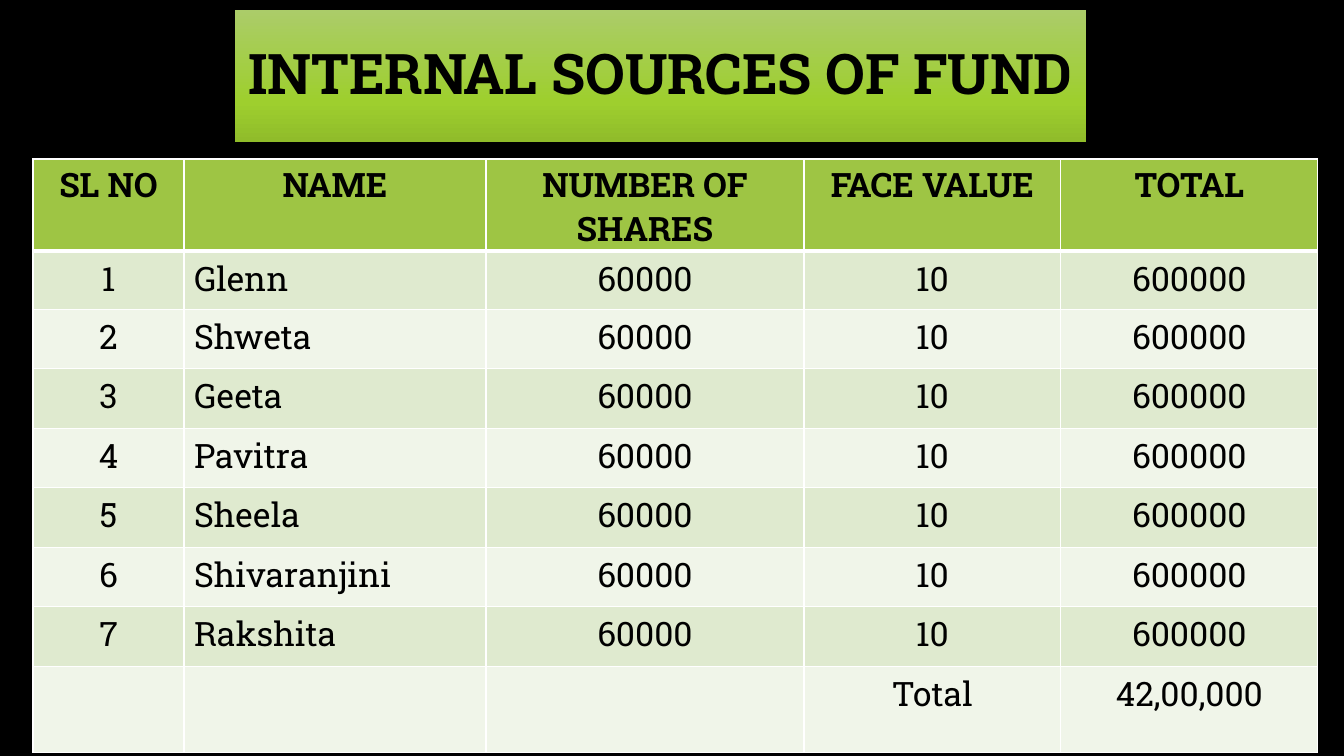
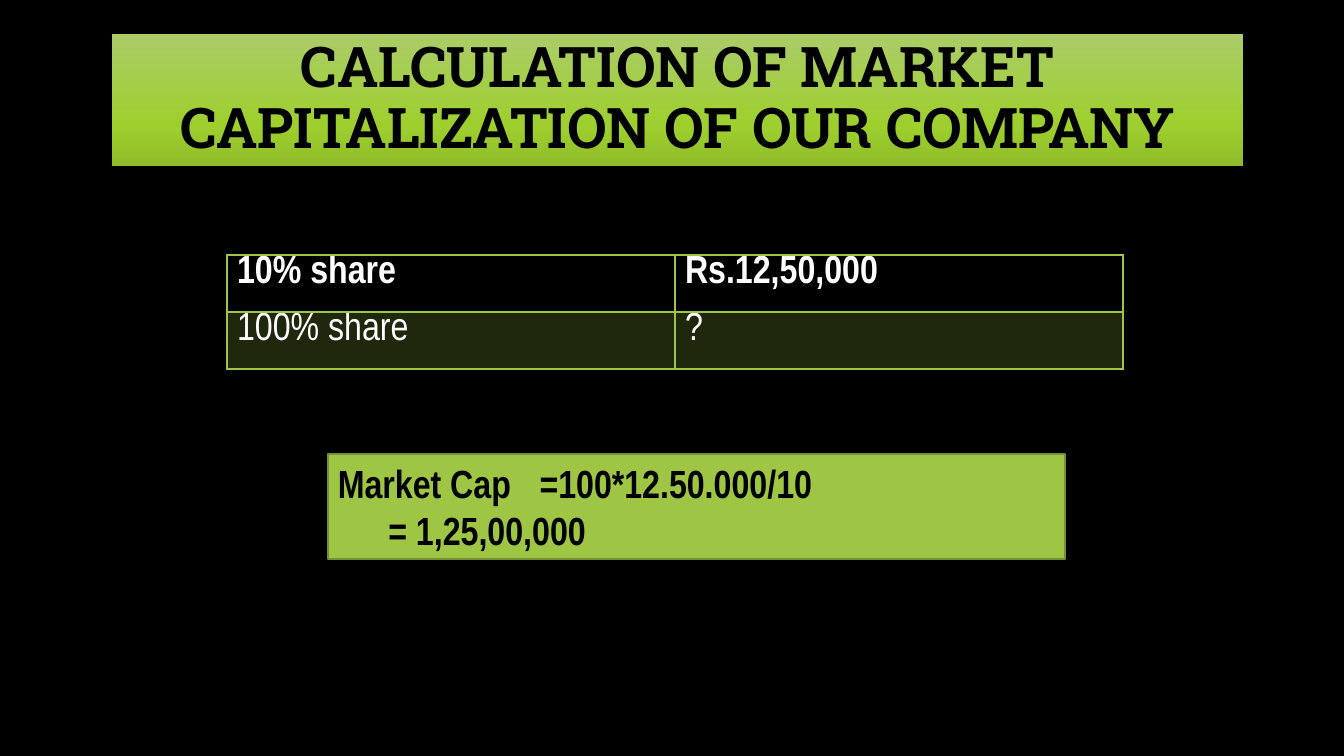
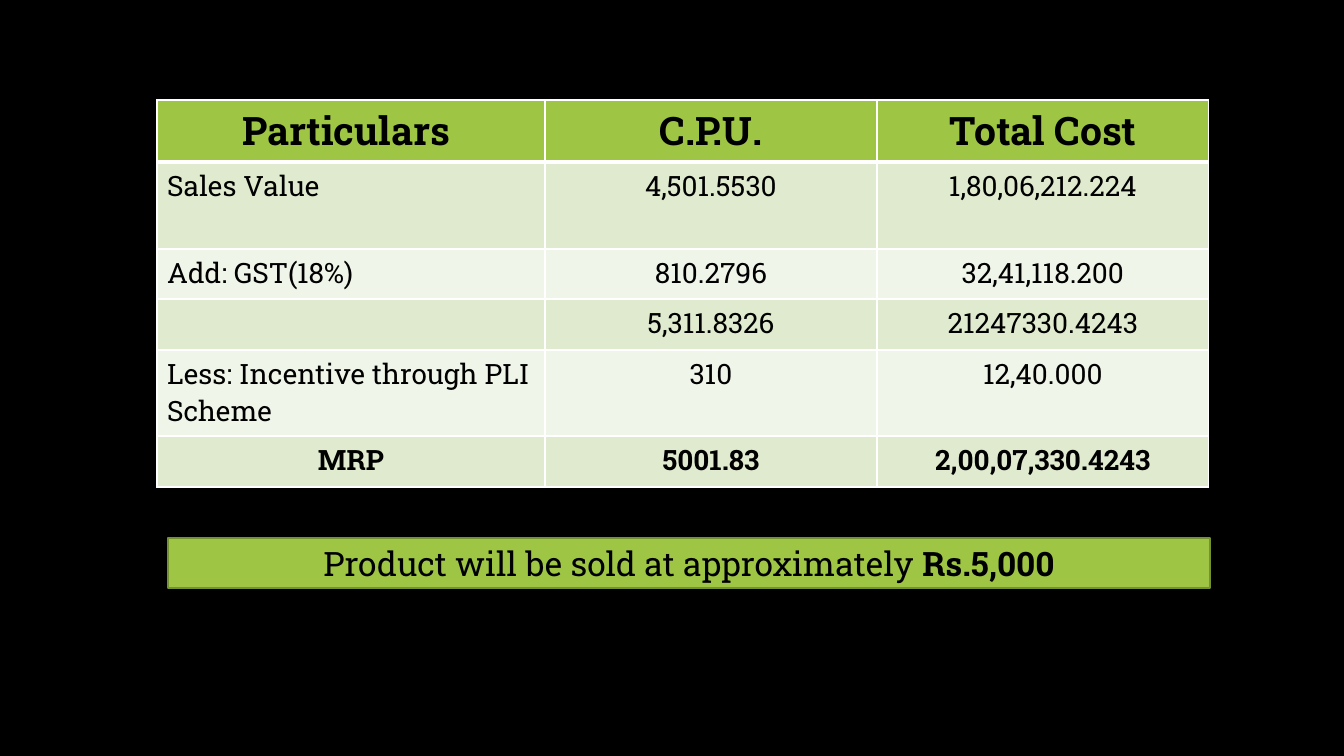
from copy import deepcopy
from dataclasses import dataclass
from itertools import pairwise

from lxml.etree import SubElement
from pptx import Presentation
from pptx.dml.color import RGBColor
from pptx.enum.shapes import MSO_SHAPE as Shape
from pptx.enum.text import MSO_ANCHOR as Anchor, PP_ALIGN as Align
from pptx.oxml.ns import qn
from pptx.util import Pt

SLIDE_W, SLIDE_H = 1344, 756
SCALE = 12192000 / SLIDE_W

BLACK = RGBColor(0x00, 0x00, 0x00)
WHITE = RGBColor(0xFF, 0xFF, 0xFF)
GREEN = RGBColor(0x9E, 0xC5, 0x44)
GREEN_EDGE = RGBColor(0x75, 0x92, 0x32)
BAND_DARK = RGBColor(0xDF, 0xEA, 0xCF)
BAND_LIGHT = RGBColor(0xF0, 0xF5, 0xE9)
TITLE_STOPS = [
    (0, RGBColor(0xAB, 0xCC, 0x69)),
    (0.69, RGBColor(0x9E, 0xCF, 0x2E)),
    (1, RGBColor(0x90, 0xBC, 0x2A)),
]
SLAB, NARROW = "Roboto Slab", "Arial Narrow"


@dataclass
class TableStyle:
    """Look of a table; left_columns apply to plain body rows."""
    font: str = SLAB
    head_size: int = 24
    body_size: int = 24
    text: RGBColor = BLACK
    border: RGBColor = WHITE
    head_rule: int = 3
    head_fill: RGBColor | None = GREEN
    bands: tuple = (BAND_DARK, BAND_LIGHT)
    band_alpha: int = 100
    left_columns: tuple = ()
    left_head: bool = False
    bold_last: bool = False
    head_insets: tuple = (5, 5)
    body_insets: tuple = (5, 5)


def px(length):
    return round(length * SCALE)


def box(*lengths):
    return [px(length) for length in lengths]


def add_run(paragraph, text, font, size, color=BLACK, bold=False):
    run = paragraph.add_run()
    run.text = text
    run.font.name = font
    run.font.size = Pt(size)
    run.font.color.rgb = color
    run.font.bold = bold


def add_panel(slide, bounds):
    panel = slide.shapes.add_shape(Shape.RECTANGLE, *box(*bounds))
    panel.shadow.inherit = False
    panel.text_frame.word_wrap = True
    panel.text_frame.vertical_anchor = Anchor.MIDDLE
    return panel


def add_title(slide, bounds, title):
    band = add_panel(slide, bounds)
    band.line.fill.background()
    band.fill.gradient()
    band.fill.gradient_angle = 270
    stop_list = band.fill.gradient_stops
    stops_xml = band.element.spPr.find(".//" + qn("a:gsLst"))
    for _ in range(len(TITLE_STOPS) - len(stop_list)):
        stops_xml.append(deepcopy(stops_xml[-1]))
    for stop, (position, color) in zip(band.fill.gradient_stops, TITLE_STOPS):
        stop.position = position
        stop.color.rgb = color
    paragraph = band.text_frame.paragraphs[0]
    paragraph.alignment = Align.CENTER
    paragraph.line_spacing = 0.9
    add_run(paragraph, title, SLAB, 40, bold=True)


def add_callout(slide, bounds, lines, font, size, align):
    """Each line is a list of (text, bold) runs."""
    callout = add_panel(slide, bounds)
    callout.fill.solid()
    callout.fill.fore_color.rgb = GREEN
    callout.line.color.rgb = GREEN_EDGE
    callout.line.width = Pt(1.5)
    frame = callout.text_frame
    for index, runs in enumerate(lines):
        paragraph = frame.add_paragraph() if index else frame.paragraphs[0]
        paragraph.alignment = align
        for text, bold in runs:
            add_run(paragraph, text, font, size, bold=bold)


def set_borders(cell, color, top, bottom):
    """Draw all four sides; left and right are 1 point wide."""
    properties = cell._tc.get_or_add_tcPr()
    for side, width in (("L", 1), ("R", 1), ("T", top), ("B", bottom)):
        line = SubElement(properties, qn(f"a:ln{side}"), w=str(Pt(width)))
        fill = SubElement(line, qn("a:solidFill"))
        SubElement(fill, qn("a:srgbClr"), val=str(color))


def set_fill(cell, color, alpha=100):
    if color is None:
        cell.fill.background()
        return
    cell.fill.solid()
    cell.fill.fore_color.rgb = color
    if alpha < 100:
        color_xml = cell._tc.tcPr.find(".//" + qn("a:solidFill") + "[last()]")
        color_xml = cell._tc.tcPr.find(qn("a:solidFill"))[0]
        SubElement(color_xml, qn("a:alpha"), val=str(alpha * 1000))


def style_cell(cell, text, row, column, last_row, style):
    head = row == 0
    bold = head or (style.bold_last and row == last_row)
    left = column in style.left_columns and (style.left_head or not bold)
    top, bottom = style.head_insets if head else style.body_insets
    cell.margin_top, cell.margin_bottom = px(top), px(bottom)
    set_borders(cell, style.border,
                style.head_rule if row == 1 else 1,
                style.head_rule if head else 1)
    if head:
        set_fill(cell, style.head_fill)
    else:
        band = style.bands[(row - 1) % len(style.bands)]
        set_fill(cell, band, style.band_alpha)
    if text:
        paragraph = cell.text_frame.paragraphs[0]
        paragraph.alignment = Align.LEFT if left else Align.CENTER
        size = style.head_size if head else style.body_size
        add_run(paragraph, text, style.font, size, style.text, bold)


def add_grid(slide, column_edges, row_edges, rows, style):
    left, right = column_edges[0], column_edges[-1]
    top, bottom = row_edges[0], row_edges[-1]
    table = slide.shapes.add_table(
        len(rows), len(rows[0]),
        *box(left, top, right - left, bottom - top)).table
    for column, (start, end) in zip(table.columns, pairwise(column_edges)):
        column.width = px(end - start)
    for row, (start, end) in zip(table.rows, pairwise(row_edges)):
        row.height = px(end - start)
    for r, texts in enumerate(rows):
        for c, text in enumerate(texts):
            style_cell(table.cell(r, c), text, r, c, len(rows) - 1, style)


def build_fund_sources(slide):
    holders = ["Glenn", "Shweta", "Geeta", "Pavitra", "Sheela",
               "Shivaranjini", "Rakshita"]
    rows = [
        ("SL NO", "NAME", "NUMBER OF SHARES", "FACE VALUE", "TOTAL"),
        *((str(number), name, "60000", "10", "600000")
          for number, name in enumerate(holders, 1)),
        ("", "", "", "Total", "42,00,000"),
    ]
    count = len(holders)
    holder_edges = [250 + 416 * i // count for i in range(count + 1)]
    add_grid(slide, [33, 184, 486, 804, 1061, 1318],
             [159, *holder_edges, 752], rows,
             TableStyle(left_columns=(1,), head_insets=(3, 0)))
    add_title(slide, (235, 10, 851, 132), "INTERNAL SOURCES OF FUND")


def build_market_cap(slide):
    add_title(slide, (112, 34, 1131, 132),
              "CALCULATION OF MARKET CAPITALIZATION OF OUR COMPANY")
    rows = [("10% share", "Rs.12,50,000"), ("100% share", "?")]
    add_grid(slide, [227, 675, 1123], [255, 312, 369], rows,
             TableStyle(font=NARROW, head_size=28, body_size=28, text=WHITE,
                        border=GREEN, head_rule=2, head_fill=None,
                        bands=(GREEN,), band_alpha=20, left_columns=(0, 1),
                        left_head=True, head_insets=(0, 0),
                        body_insets=(0, 0)))
    add_callout(slide, (328, 454, 737, 105),
                [[("Market Cap\t=100*12.50.000/10", True)],
                 [("\t= 1,25,00,000", True)]],
                NARROW, 28, Align.LEFT)


def build_selling_price(slide):
    rows = [
        ("Particulars ", "C.P.U.", "Total Cost"),
        ("Sales Value", "4,501.5530", "1,80,06,212.224"),
        ("Add: GST(18%)", "810.2796", "32,41,118.200"),
        ("", "5,311.8326", "21247330.4243"),
        ("Less: Incentive through PLI Scheme", "310", "12,40.000"),
        ("MRP", "5001.83", "2,00,07,330.4243"),
    ]
    add_grid(slide, [157, 545, 877, 1209],
             [100, 162, 249, 299, 350, 436, 487], rows,
             TableStyle(head_size=28, body_size=20, left_columns=(0,),
                        bold_last=True))
    add_callout(slide, (168, 538, 1042, 50),
                [[("Product will be sold at approximately ", False),
                  ("Rs.5,000", True)]],
                SLAB, 24, Align.CENTER)


def main():
    deck = Presentation()
    deck.slide_width, deck.slide_height = box(SLIDE_W, SLIDE_H)
    backdrop = deck.slide_master.background.fill
    backdrop.solid()
    backdrop.fore_color.rgb = BLACK
    blank = deck.slide_layouts[6]
    for build in (build_fund_sources, build_market_cap, build_selling_price):
        build(deck.slides.add_slide(blank))
    deck.save("out.pptx")


if __name__ == "__main__":
    main()
